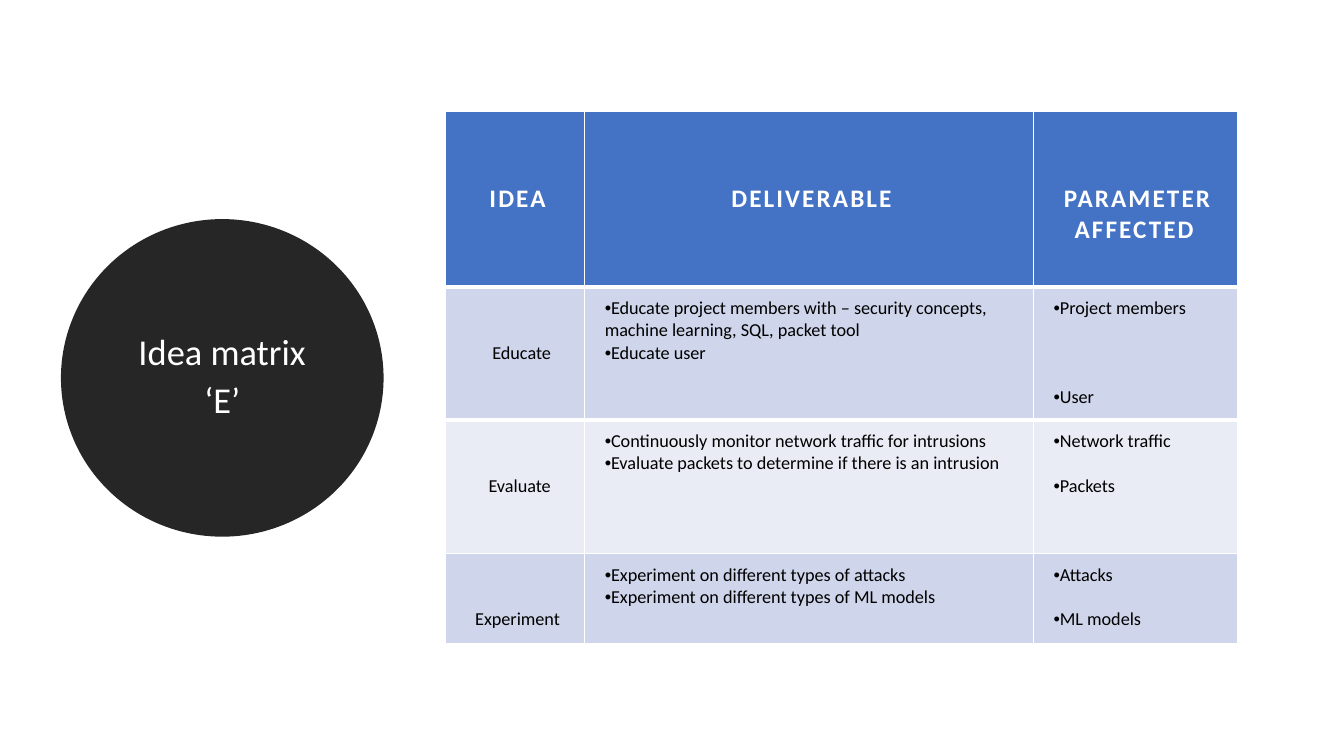
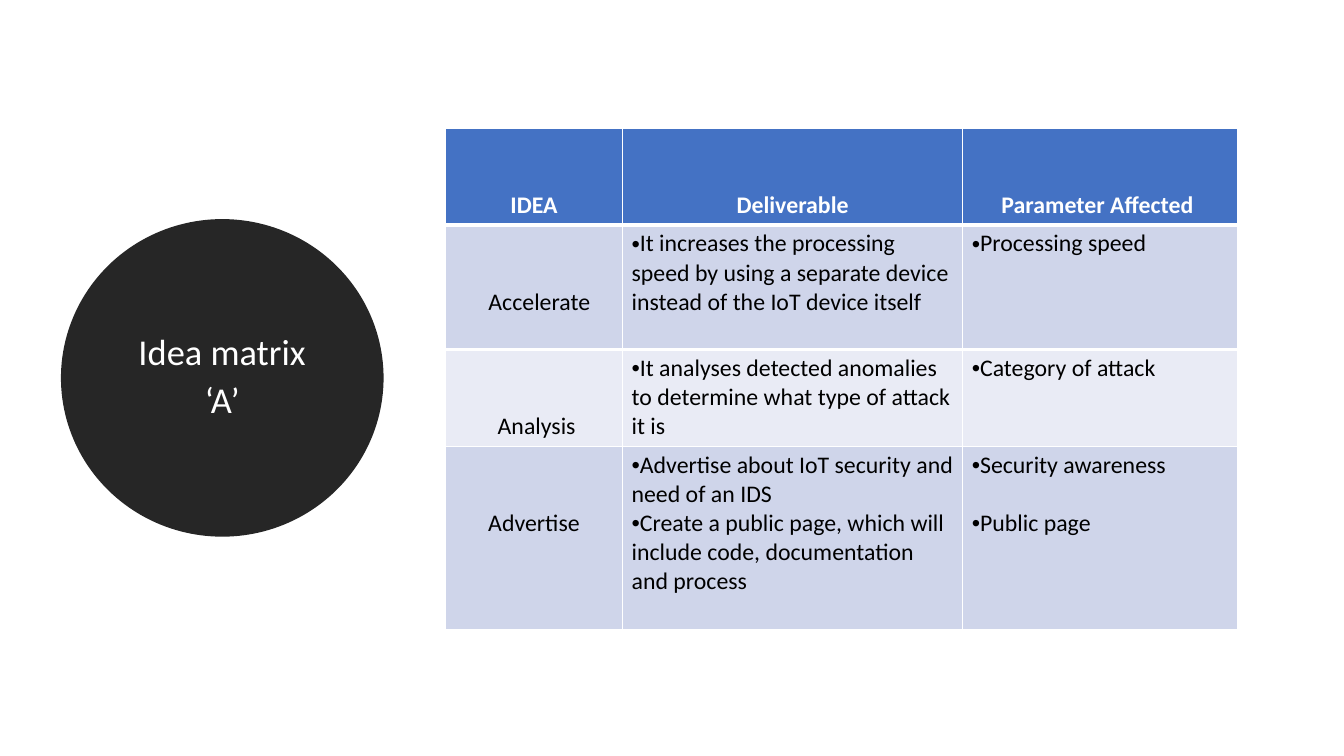
import pptx
import pptx.util
import pptx.dml.color
import pptx.enum.shapes
import pptx.enum.text
import pptx.oxml.ns
import lxml.etree

Pt = pptx.util.Pt
RGBColor = pptx.dml.color.RGBColor
PP_ALIGN = pptx.enum.text.PP_ALIGN
qn = pptx.oxml.ns.qn

WHITE = RGBColor(0xFF, 0xFF, 0xFF)
BLACK = RGBColor(0, 0, 0)
CHARCOAL = RGBColor(0x26, 0x26, 0x26)
HEADER_BLUE = RGBColor(0x44, 0x72, 0xC4)
BAND_COLORS = (RGBColor(0xCF, 0xD5, 0xEA), RGBColor(0xE9, 0xEB, 0xF5))

FONT = "Calibri"
BULLET_FONT = "Arial"
LINE_FACTOR = 1.22
SPACE_WIDTH = 0.226
LABEL_LINES_DOWN = 2
LABEL_NUDGES = (2, 1, 0)
CIRCLE = (50.4, 163.4, 216.7, 213.1)
TABLE_LEFT = 318.2

MATRICES = [
    {
        "title": ("Idea matrix", "‘E’"),
        "header": ("IDEA", "DELIVERABLE", "PARAMETER AFFECTED "),
        "rows": [
            ("Educate",
             ["Educate project members with – security concepts, machine learning, SQL, packet tool",
              "Educate user"],
             ["Project members", "User"], 3),
            ("Evaluate",
             ["Continuously monitor network traffic for intrusions",
              "Evaluate packets to determine if there is an intrusion"],
             ["Network traffic", "Packets"], 1),
            ("Experiment",
             ["Experiment on different types of attacks",
              "Experiment on different types of ML models"],
             ["Attacks", "ML models"], 1),
        ],
        "top": 79.9,
        "widths": (99.4, 320.6, 145.9),
        "heights": (125.3, 95, 95.3, 64.2),
        "margins": (14.4, 7.2, 10.8, 7.2),
        "header_size": 18,
        "body_size": 13,
        "header_tracking": 1.5,
    },
    {
        "title": ("Idea matrix", "‘A’"),
        "header": ("IDEA", "Deliverable", "Parameter Affected "),
        "rows": [
            ("Accelerate",
             ["It increases the processing speed by using a separate device instead of the IoT device itself"],
             ["Processing speed"], 0),
            ("Analysis",
             ["It analyses detected anomalies to determine what type of attack it is"],
             ["Category of attack"], 0),
            ("Advertise",
             ["Advertise about IoT security and need of an IDS",
              "Create a public page, which will include code, documentation and process"],
             ["Security awareness", "Public page"], 1),
        ],
        "top": 91.6,
        "widths": (126.5, 243, 196.4),
        "heights": (69.3, 88.8, 69.3, 131),
        "margins": (6.5, 2.9, 6.5, 2.9),
        "header_size": 17,
        "body_size": 17,
        "header_tracking": 0,
    },
]


def style_run(run, size, color, bold=False, tracking=0):
    run.font.name = FONT
    run.font.size = Pt(size)
    run.font.bold = bold
    run.font.color.rgb = color
    if tracking:
        run.font._element.set("spc", str(int(tracking * 100)))


def add_bullet(paragraph):
    properties = paragraph._p.get_or_add_pPr()
    properties.set("marL", "0")
    properties.set("indent", "0")
    lxml.etree.SubElement(properties, qn("a:buFont")).set("typeface", BULLET_FONT)
    lxml.etree.SubElement(properties, qn("a:buChar")).set("char", "•")


def add_border(cell, side, width):
    border = lxml.etree.Element(qn("a:" + side))
    border.set("w", str(Pt(width)))
    fill = lxml.etree.SubElement(border, qn("a:solidFill"))
    lxml.etree.SubElement(fill, qn("a:srgbClr")).set("val", str(WHITE))
    cell._tc.get_or_add_tcPr().insert(0, border)


def add_title(slide, lines):
    left, top, width, height = (Pt(length) for length in CIRCLE)
    circle = slide.shapes.add_shape(
        pptx.enum.shapes.MSO_SHAPE.OVAL, left, top, width, height)
    circle.shadow.inherit = False
    circle.fill.solid()
    circle.fill.fore_color.rgb = CHARCOAL
    circle.line.color.rgb = CHARCOAL
    circle.line.width = Pt(13.75)

    title = slide.shapes.title
    title.left, title.top, title.width, title.height = left, top, width, height
    slide.shapes._spTree.append(title._element)
    text_frame = title.text_frame
    text_frame.text = "\n".join(lines)
    text_frame.word_wrap = True
    text_frame.auto_size = pptx.enum.text.MSO_AUTO_SIZE.NONE
    text_frame.vertical_anchor = pptx.enum.text.MSO_ANCHOR.MIDDLE
    for paragraph in text_frame.paragraphs:
        paragraph.alignment = PP_ALIGN.CENTER
        paragraph.line_spacing = 0.9
        paragraph.space_before = Pt(0)
        paragraph.space_after = Pt(6)
        style_run(paragraph.runs[0], 26, WHITE)


def prepare_cell(cell, margins, color, down=0, nudge=0):
    left, top, right, bottom = margins
    cell.margin_left = Pt(left + nudge)
    cell.margin_top = Pt(top + down)
    cell.margin_right = Pt(right)
    cell.margin_bottom = Pt(bottom)
    cell.fill.solid()
    cell.fill.fore_color.rgb = color


def fill_label(cell, text, size, color, bold=False, tracking=0):
    cell.text_frame.text = text
    paragraph = cell.text_frame.paragraphs[0]
    paragraph.alignment = PP_ALIGN.CENTER
    style_run(paragraph.runs[0], size, color, bold, tracking)


def fill_bullets(cell, items, size, gap=0):
    cell.text_frame.text = "\n".join(items)
    for index, paragraph in enumerate(cell.text_frame.paragraphs):
        if index and gap:
            paragraph.space_before = Pt(gap)
        add_bullet(paragraph)
        style_run(paragraph.runs[0], size, BLACK)


def add_matrix(slide, matrix):
    widths, heights, margins = matrix["widths"], matrix["heights"], matrix["margins"]
    table = slide.shapes.add_table(
        len(heights), len(widths), Pt(TABLE_LEFT), Pt(matrix["top"]),
        Pt(sum(widths)), Pt(sum(heights))).table
    for column, width in zip(table.columns, widths):
        column.width = Pt(width)
    for row, height in zip(table.rows, heights):
        row.height = Pt(height)

    header_size, body_size = matrix["header_size"], matrix["body_size"]
    header_down = LABEL_LINES_DOWN * header_size * LINE_FACTOR
    for column_index, heading in enumerate(matrix["header"]):
        cell = table.cell(0, column_index)
        prepare_cell(cell, margins, HEADER_BLUE, header_down)
        fill_label(cell, heading, header_size, WHITE, True, matrix["header_tracking"])
        add_border(cell, "lnB", 3)
        add_border(table.cell(1, column_index), "lnT", 3)

    line_height = body_size * LINE_FACTOR
    for row_index, (idea, deliverables, parameters, gap_lines) in enumerate(matrix["rows"]):
        label, deliverable, parameter = table.rows[row_index + 1].cells
        color = BAND_COLORS[row_index % 2]
        nudge = LABEL_NUDGES[row_index] * body_size * SPACE_WIDTH
        prepare_cell(label, margins, color, LABEL_LINES_DOWN * line_height, nudge)
        prepare_cell(deliverable, margins, color)
        prepare_cell(parameter, margins, color)
        fill_label(label, idea, body_size, BLACK)
        fill_bullets(deliverable, deliverables, body_size)
        fill_bullets(parameter, parameters, body_size, gap_lines * line_height)


def main():
    presentation = pptx.Presentation()
    presentation.slide_width = Pt(960)
    presentation.slide_height = Pt(540)
    for matrix in MATRICES:
        slide = presentation.slides.add_slide(presentation.slide_layouts[5])
        add_title(slide, matrix["title"])
        add_matrix(slide, matrix)
    presentation.save("out.pptx")


if __name__ == "__main__":
    main()
